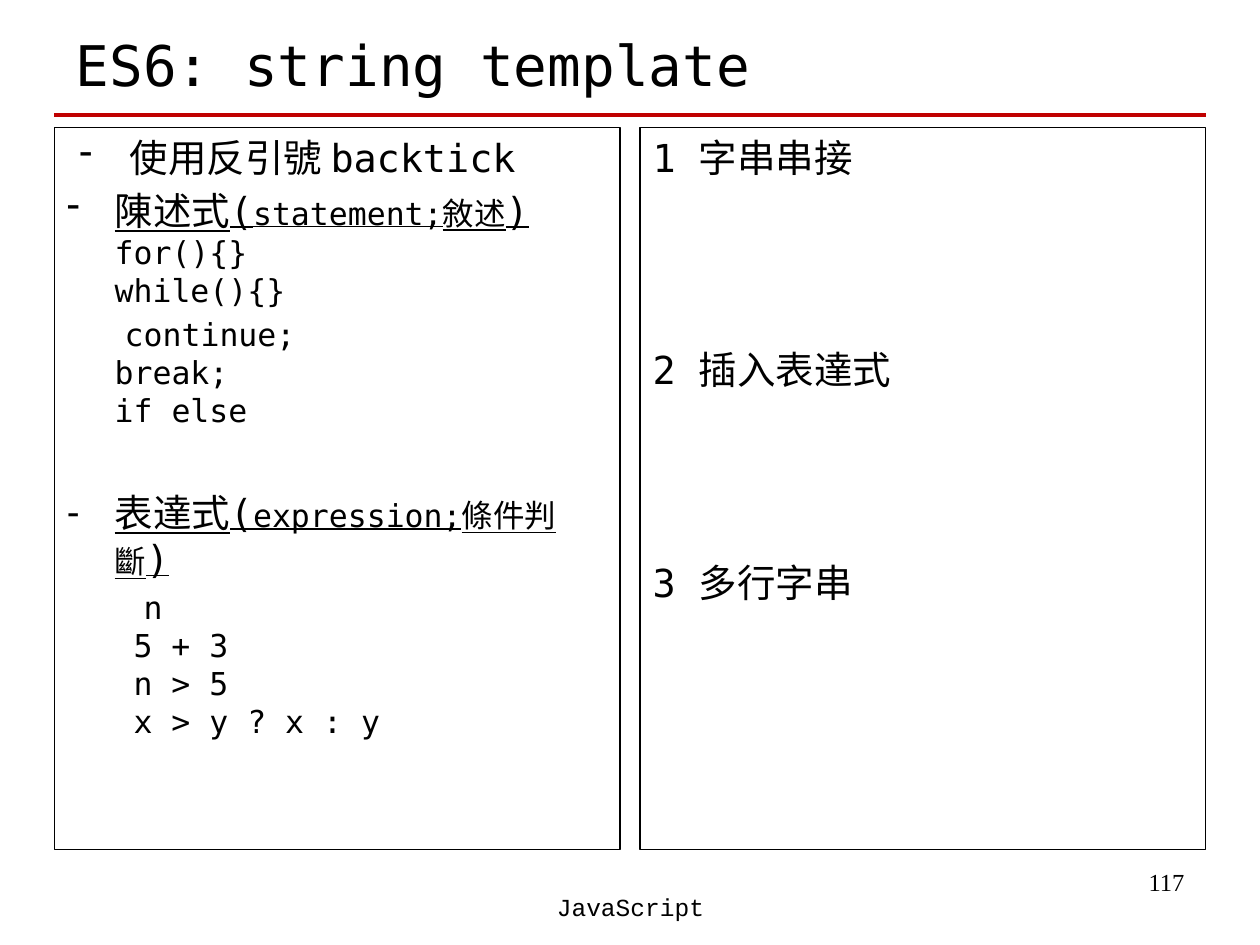
from dataclasses import dataclass

from lxml import etree
from pptx import Presentation
from pptx import util as u
from pptx.dml.color import RGBColor
from pptx.enum import shapes, text
from pptx.oxml.ns import qn

Inches, Pt = u.Inches, u.Pt


@dataclass(frozen=True)
class Theme:
    ink = RGBColor(0, 0, 0)
    accent = RGBColor(0xC0, 0, 0)
    mono = "DejaVu Sans Mono"
    footer_font = "Courier New"
    number_font = "Times New Roman"
    title = 32
    body = 22
    code = 18
    small = 14
    gap = 4
    blank_line = 30.4


THEME = Theme()


@dataclass
class Item:
    """A paragraph: runs are (text, size, underlined); lengths in inches, gaps in points."""
    runs: list
    margin: float = 0
    indent: float = 0
    bullet: bool = False
    before: float = THEME.gap


def place(shape, box):
    shape.left, shape.top, shape.width, shape.height = (Inches(value) for value in box)


def style_font(font, size, name=THEME.mono, underline=False):
    font.name, font.size, font.underline = name, Pt(size), underline
    font.color.rgb = THEME.ink


def set_indent(paragraph, item):
    properties = paragraph._p.get_or_add_pPr()
    properties.set("marL", str(Inches(item.margin)))
    properties.set("indent", str(Inches(item.indent)))
    if item.bullet:
        color = etree.SubElement(properties, qn("a:buClr"))
        etree.SubElement(color, qn("a:srgbClr"), val=str(THEME.ink))
        etree.SubElement(properties, qn("a:buFontTx"))
        etree.SubElement(properties, qn("a:buChar"), char="-")
    else:
        etree.SubElement(properties, qn("a:buNone"))


def add_lines(paragraph, content, size, underline):
    """Add a run for each line of the content, with sized line breaks between."""
    for number, line in enumerate(content.split("\n")):
        if number:
            paragraph.add_line_break()
            etree.SubElement(paragraph._p[-1], qn("a:rPr"), sz=str(size * 100))
        if line:
            run = paragraph.add_run()
            run.text = line
            style_font(run.font, size, underline=underline)


def fill_panel(panel, box, items):
    place(panel, box)
    panel.line.color.rgb = THEME.ink
    panel.line.width = Pt(0.75)
    frame = panel.text_frame
    frame.auto_size = text.MSO_AUTO_SIZE.NONE
    for number, item in enumerate(items):
        paragraph = frame.add_paragraph() if number else frame.paragraphs[0]
        set_indent(paragraph, item)
        paragraph.space_before = Pt(item.before if number else 0)
        for run in item.runs:
            add_lines(paragraph, *run)


def fill_title(slide, box, content):
    title = slide.shapes.title
    place(title, box)
    frame = title.text_frame
    frame.text = content
    frame.auto_size = text.MSO_AUTO_SIZE.NONE
    frame.vertical_anchor = text.MSO_ANCHOR.MIDDLE
    paragraph = frame.paragraphs[0]
    paragraph.alignment = text.PP_ALIGN.LEFT
    style_font(paragraph.runs[0].font, THEME.title)


def add_rule(slide, left, right, top):
    rule = slide.shapes.add_connector(
        shapes.MSO_CONNECTOR.STRAIGHT, Inches(left), Inches(top), Inches(right), Inches(top))
    rule.line.color.rgb = THEME.accent
    rule.line.width = Pt(2.25)
    etree.SubElement(rule._element.spPr, qn("a:effectLst"))


def add_label(slide, box, content, font_name, alignment):
    label = slide.shapes.add_textbox(*(Inches(value) for value in box))
    label.text_frame.word_wrap = True
    label.text_frame.text = content
    paragraph = label.text_frame.paragraphs[0]
    paragraph.alignment = alignment
    style_font(paragraph.runs[0].font, THEME.small, font_name)


def heading(term, gloss, before=THEME.gap, code=""):
    runs = [(term + "(", THEME.body, True), (gloss, THEME.code, True), (")", THEME.body, True)]
    if code:
        runs.append(("\n" + code, THEME.code, False))
    return Item(runs, 0.38, -0.38, True, before)


def code_block(code, margin):
    return Item([(code, THEME.code, False)], margin, 0.08)


def main():
    presentation = Presentation()
    presentation.slide_width, presentation.slide_height = Inches(10), Inches(7.5)
    slide = presentation.slides.add_slide(presentation.slide_layouts[3])
    left, right, gutter, top, height = 0.43, 9.57, 0.16, 1.01, 5.73
    width = (right - left - gutter) / 2

    fill_title(slide, (0.5, 0.13, 9, 0.76), "ES6: string template")
    add_rule(slide, left, right, 0.91)

    syntax = [
        Item([("使用反引號 backtick", THEME.body, False)], 0.5, -0.4, True),
        heading("陳述式", "statement;敘述", code="for(){}\nwhile(){}"),
        code_block("continue;\nbreak;\nif else", 0.38),
        heading("表達式", "expression;條件判斷", THEME.gap + THEME.blank_line),
        code_block("n\n5 + 3\nn > 5\nx > y ? x : y", 0.53),
    ]
    uses = [Item([(f"{number} {use}", THEME.body, False)],
                 before=THEME.gap + 3 * THEME.blank_line)
            for number, use in enumerate(("字串串接", "插入表達式", "多行字串"), 1)]
    for column, items in enumerate((syntax, uses)):
        box = (left + column * (width + gutter), top, width, height)
        fill_panel(slide.placeholders[column + 1], box, items)

    add_label(slide, (7.17, 6.83, 2.33, 0.52), "117", THEME.number_font, text.PP_ALIGN.RIGHT)
    add_label(slide, (3.42, 7.03, 3.17, 0.5), "JavaScript", THEME.footer_font,
              text.PP_ALIGN.CENTER)
    presentation.save("out.pptx")


if __name__ == "__main__":
    main()
